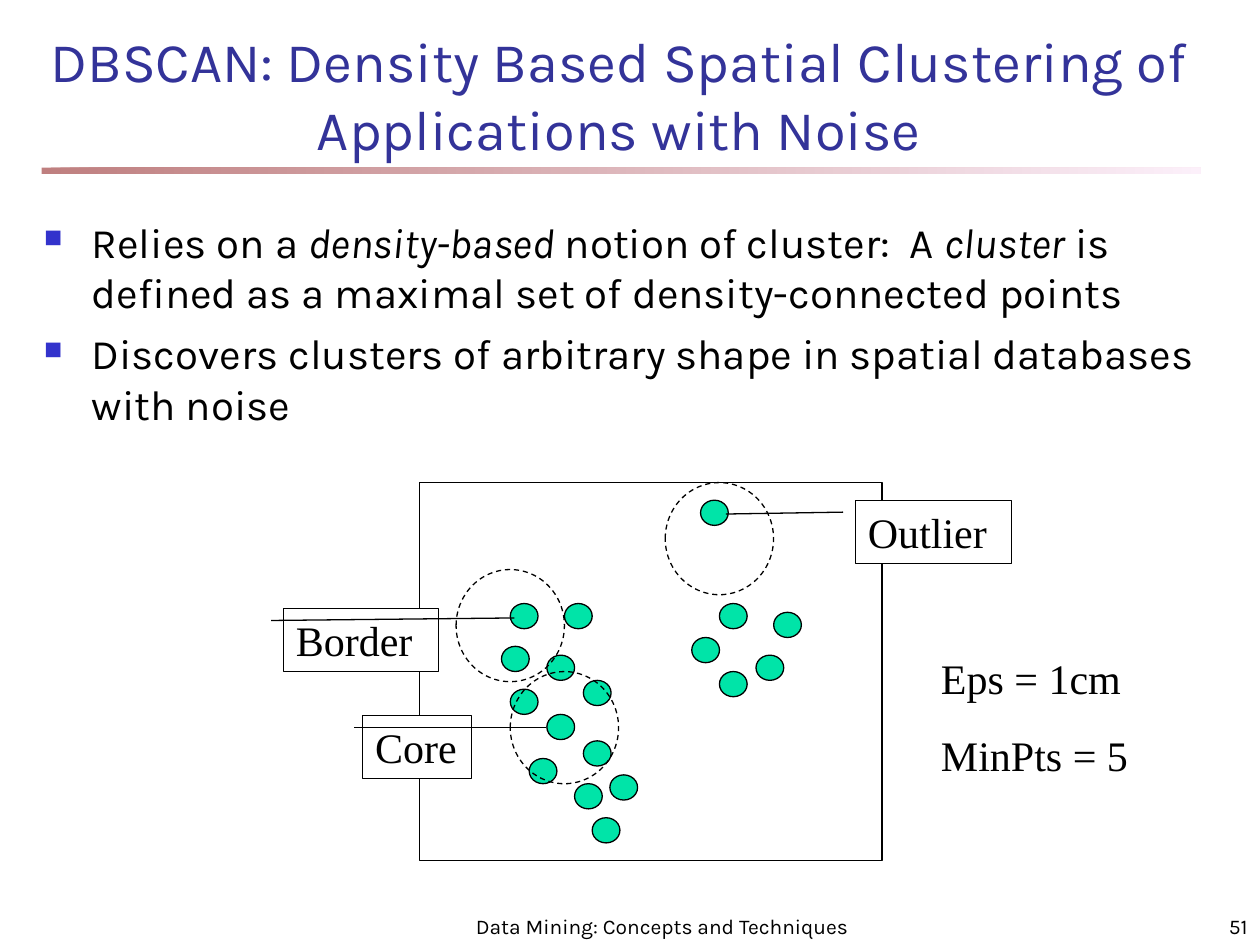
from lxml import etree
from pptx import Presentation
from pptx.dml.color import RGBColor
from pptx.enum.dml import MSO_LINE
from pptx.enum.shapes import MSO_SHAPE as SHAPE
from pptx.enum.text import MSO_ANCHOR as ANCHOR, MSO_AUTO_SIZE as AUTO, PP_ALIGN as ALIGN
from pptx.oxml.ns import qn
from pptx.util import Inches, Pt

COLORS = {"title": "333399", "text": "000000", "bullet": "3333CC", "point": "00E4A8",
          "line": "000000", "box": "FFFFFF", "bar_start": "800000", "bar_end": "FAE2F6"}
SANS, SERIF = "Karla", "Times New Roman"
POINT_SIZE, RADIUS_SIZE = (0.22, 0.2), (0.86, 0.89)

POINTS = [(4.05, 4.79), (3.98, 5.13), (4.34, 5.2), (4.48, 4.79), (4.63, 5.4), (4.05, 5.47),
          (4.34, 5.67), (4.2, 6.02), (4.56, 6.22), (4.7, 6.49), (4.63, 5.88), (4.84, 6.15),
          (5.56, 3.97), (5.71, 4.79), (5.49, 5.06), (6, 5.2), (6.14, 4.86), (5.71, 5.33)]
NEIGHBORHOODS = [(3.62, 4.52), (4.05, 5.33), (5.28, 3.83)]
CALLOUTS = [("Core", (2.88, 5.68, 0.86, 0.5), (0.19, 1.69)),
            ("Border", (2.25, 4.83, 1.23, 0.5), (0.15, 1.49)),
            ("Outlier", (6.79, 3.97, 1.24, 0.5), (0.22, -0.83))]
BULLETS = [[("Relies on a ", False), ("density-based", True), (" notion of cluster:  A ", False),
            ("cluster", True), (" is defined as a maximal set of density-connected points", False)],
           [("Discovers clusters of arbitrary shape in spatial databases with noise", False)]]


def rgb(name):
    """Return the named colour."""
    return RGBColor.from_string(COLORS[name])


def add_bullet(p):
    """Give a paragraph a hanging square bullet."""
    pPr = p._p.get_or_add_pPr()
    pPr.set("marL", str(Inches(0.38)))
    pPr.set("indent", str(-Inches(0.38)))
    color = etree.SubElement(pPr, qn("a:buClr"))
    etree.SubElement(color, qn("a:srgbClr"), val=COLORS["bullet"])
    etree.SubElement(pPr, qn("a:buSzPct"), val="60000")
    etree.SubElement(pPr, qn("a:buChar"), char="■")


def write(tf, paragraphs, font=SANS, size=24, color="text", align=ALIGN.LEFT,
          anchor=ANCHOR.TOP, gap=0, bullet=False, grow=False):
    """Fill a text frame with paragraphs of (text, italic) runs."""
    tf.word_wrap = True
    tf.auto_size = AUTO.SHAPE_TO_FIT_TEXT if grow else AUTO.NONE
    tf.vertical_anchor = anchor
    for i, runs in enumerate(paragraphs):
        p = tf.add_paragraph() if i else tf.paragraphs[0]
        if bullet:
            add_bullet(p)
        p.alignment = align
        p.space_before = Pt(gap if i else 0)
        for text, italic in runs:
            r = p.add_run()
            r.text = text
            r.font.name, r.font.size, r.font.italic = font, Pt(size), italic
            r.font.color.rgb = rgb(color)


class Slide:
    """Holds the style and the current slide."""

    def __init__(self, prs):
        self.s = prs.slides.add_slide(prs.slide_layouts[6])
        self.line_width = Pt(0.75)

    def text(self, box, paragraphs, **fmt):
        """Add a text box."""
        write(self.s.shapes.add_textbox(*map(Inches, box)).text_frame, paragraphs, **fmt)

    def shape(self, kind, box, fill=None, dashed=False):
        """Add an outlined preset shape."""
        sp = self.s.shapes.add_shape(kind, *map(Inches, box))
        sp.shadow.inherit = False
        if fill:
            sp.fill.solid()
            sp.fill.fore_color.rgb = rgb(fill)
        else:
            sp.fill.background()
        sp.line.color.rgb = rgb("line")
        sp.line.width = self.line_width
        if dashed:
            sp.line.dash_style = MSO_LINE.DASH
        return sp

    def bar(self, box):
        """Add the half-transparent gradient rule under the title."""
        sp = self.shape(SHAPE.RECTANGLE, box)
        sp.line.fill.background()
        sp.fill.gradient()
        sp.fill.gradient_angle = 0
        for stop, name, position in zip(sp.fill.gradient_stops, ("bar_start", "bar_end"), (0, 1)):
            stop.color.rgb = rgb(name)
            stop.position = position
        for color in sp._element.spPr.iter(qn("a:srgbClr")):
            etree.SubElement(color, qn("a:alpha"), val="50000")

    def callout(self, label, box, target):
        """Add a label whose leader line ends at the target."""
        sp = self.shape(SHAPE.LINE_CALLOUT_1, box, "box")
        for i, value in enumerate((0.19, -0.08, *target)):
            sp.adjustments[i] = value
        write(sp.text_frame, [[(label, False)]], font=SERIF, grow=True)


def main():
    """Build the slide."""
    prs = Presentation()
    prs.slide_width, prs.slide_height = Inches(10), Inches(7.5)
    slide = Slide(prs)
    slide.bar((0.33, 1.33, 9.2, 0.05))
    slide.text((3.67, 7.08, 3.17, 0.42), [[("Data Mining: Concepts and Techniques", False)]],
               size=12, align=ALIGN.CENTER, anchor=ANCHOR.BOTTOM)
    slide.text((7.92, 7.08, 2.08, 0.42), [[("51", False)]],
               size=12, align=ALIGN.RIGHT, anchor=ANCHOR.BOTTOM)
    title = "DBSCAN: Density Based Spatial Clustering of Applications with Noise"
    slide.text((0.25, 0.25, 9.33, 1.08), [[(title, False)]],
               size=32, color="title", align=ALIGN.CENTER, anchor=ANCHOR.BOTTOM)
    slide.text((0.25, 1.67, 9.33, 5.5), BULLETS, gap=6, bullet=True)

    for point in POINTS:
        slide.shape(SHAPE.OVAL, point + POINT_SIZE, "point")
    slide.shape(SHAPE.RECTANGLE, (3.33, 3.83, 3.67, 3))
    for corner in NEIGHBORHOODS:
        slide.shape(SHAPE.OVAL, corner + RADIUS_SIZE, dashed=True)
    for label, box, target in CALLOUTS:
        slide.callout(label, box, target)
    slide.text((7.37, 5.13, 1.8, 1.11), [[("Eps = 1cm", False)], [("MinPts = 5", False)]],
               font=SERIF, gap=15, grow=True)
    prs.save("out.pptx")


if __name__ == "__main__":
    main()
